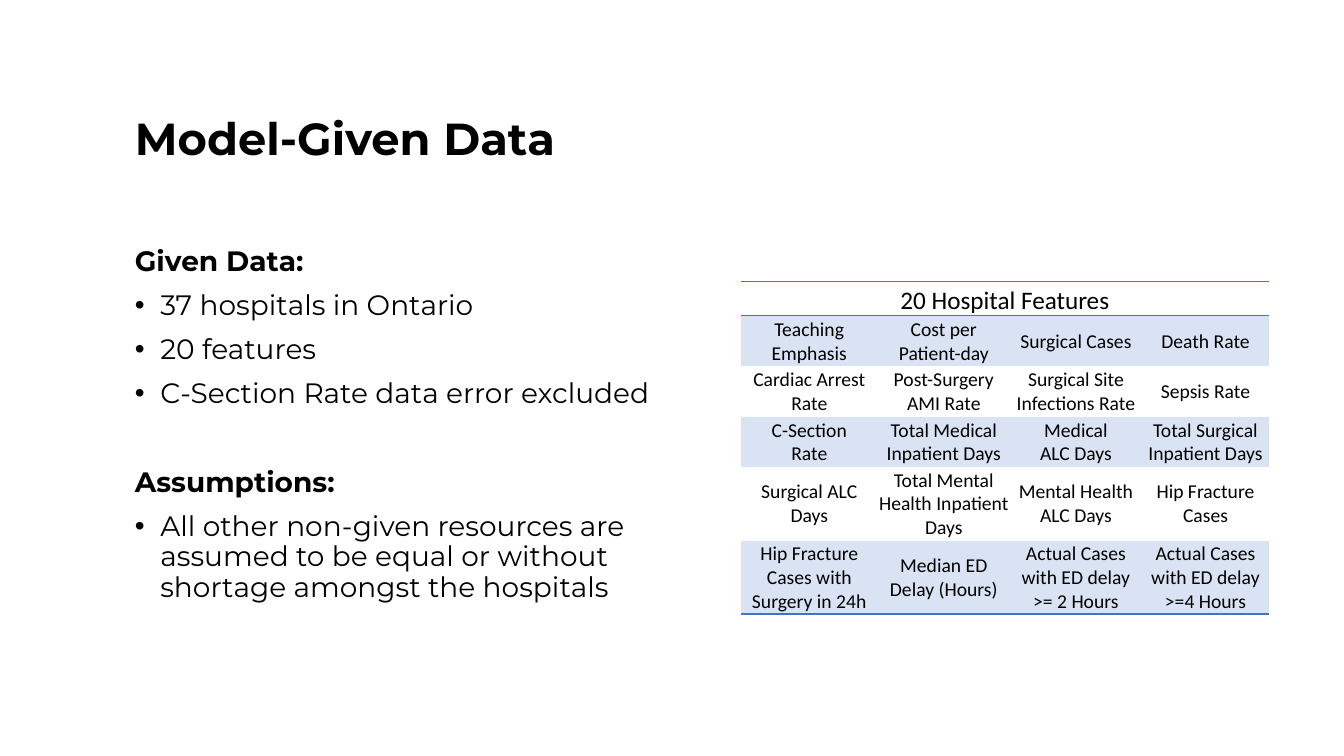
"""Build the slide on the given data of the hospital model."""
from lxml.etree import SubElement
from pptx import Presentation
from pptx.dml.color import RGBColor as RGB
from pptx.enum.text import MSO_ANCHOR as Anchor, PP_ALIGN as Align
from pptx.oxml import parse_xml
from pptx.oxml.ns import nsdecls, qn
from pptx.util import Cm, Pt

BLACK = RGB(0x00, 0x00, 0x00)
BLUE = RGB(0x44, 0x72, 0xC4)
PALE = RGB(0xDA, 0xE3, 0xF3)
PLAIN = "{2D5ABB26-0587-4C30-8999-92F81FD0307C}"


def style(para, face, size, bold=False):
    para.font.name = face
    para.font.size = Pt(size)
    para.font.bold = bold
    para.font.color.rgb = BLACK


def rule(cell, side):
    line = parse_xml(
        f'<a:{side} {nsdecls("a")} w="12700"><a:solidFill>'
        f'<a:srgbClr val="{BLUE}"/></a:solidFill></a:{side}>')
    props = cell._tc.get_or_add_tcPr()
    props.insert(len(props.findall(qn("a:lnT"))), line)


deck = Presentation()
deck.slide_width, deck.slide_height = Cm(33.87), Cm(19.05)
slide = deck.slides.add_slide(deck.slide_layouts[6])

title = slide.shapes.add_textbox(Cm(3.15), Cm(1.7), Cm(26.09), Cm(3.71)).text_frame
title.word_wrap = True
title.vertical_anchor = Anchor.MIDDLE
head = title.paragraphs[0]
head.text = "Model-Given Data"
head.line_spacing = 0.9
style(head, "Montserrat", 32, True)

body = slide.shapes.add_textbox(Cm(3.15), Cm(6.1), Cm(13.77), Cm(10.87)).text_frame
body.word_wrap = True
points = [
    ("Given Data:", True, 10),
    ("37 hospitals in Ontario", False, 10),
    ("20 features", False, 10),
    ("C-Section Rate data error excluded", False, 10),
    ("Assumptions:", True, 41.5),
    ("All other non-given resources are assumed to be equal or without "
     "shortage amongst the hospitals", False, 10),
]
for num, (text, bold, gap) in enumerate(points):
    para = body.add_paragraph() if num else body.paragraphs[0]
    para.text = text
    para.line_spacing = 0.9
    para.space_before = Pt(gap)
    style(para, "Montserrat", 20, bold)
    if not bold:
        props = para._p.get_or_add_pPr()
        props.set("marL", str(Cm(0.64)))
        props.set("indent", str(-Cm(0.64)))
        SubElement(props, qn("a:buFont")).set("typeface", "Arial")
        SubElement(props, qn("a:buChar")).set("char", "•")

rows = [
    ["20 Hospital Features", "", "", ""],
    ["Teaching\nEmphasis", "Cost per Patient-day", "Surgical Cases", "Death Rate"],
    ["Cardiac Arrest Rate", "Post-Surgery AMI Rate",
     "Surgical Site Infections Rate", "Sepsis Rate"],
    ["C-Section\nRate", "Total Medical Inpatient Days",
     "Medical\nALC Days", "Total Surgical Inpatient Days"],
    ["Surgical ALC Days", "Total Mental Health Inpatient Days",
     "Mental Health ALC Days", "Hip Fracture Cases"],
    ["Hip Fracture Cases with Surgery in 24h", "Median ED Delay (Hours)",
     "Actual Cases with ED delay >= 2 Hours", "Actual Cases with ED delay >=4 Hours"],
]
frame = slide.shapes.add_table(6, 4, Cm(18.67), Cm(7.09), Cm(13.31), Cm(8.38))
table = frame.table
table.first_row = table.horz_banding = False
table._tbl.tblPr.find(qn("a:tableStyleId")).text = PLAIN
for col, wide in zip(table.columns, (3.45, 3.33, 3.33, 3.2)):
    col.width = Cm(wide)
for row, high in zip(table.rows, (0.87, 1.27, 1.27, 1.27, 1.85, 1.85)):
    row.height = Cm(high)
table.cell(0, 0).merge(table.cell(0, 3))

for r, row in enumerate(rows):
    for c, text in enumerate(row):
        cell = table.cell(r, c)
        cell.margin_left = cell.margin_right = cell.margin_top = Cm(0.02)
        cell.margin_bottom = 0
        cell.vertical_anchor = Anchor.MIDDLE if r else Anchor.BOTTOM
        para = cell.text_frame.paragraphs[0]
        para.text = text
        para.alignment = Align.CENTER
        style(para, "Calibri", 14 if r else 18)
        if r % 2:
            cell.fill.solid()
            cell.fill.fore_color.rgb = PALE
        else:
            cell.fill.background()
        if r == 0:
            rule(cell, "lnT")
        if r in (0, 5):
            rule(cell, "lnB")

deck.save("out.pptx")
